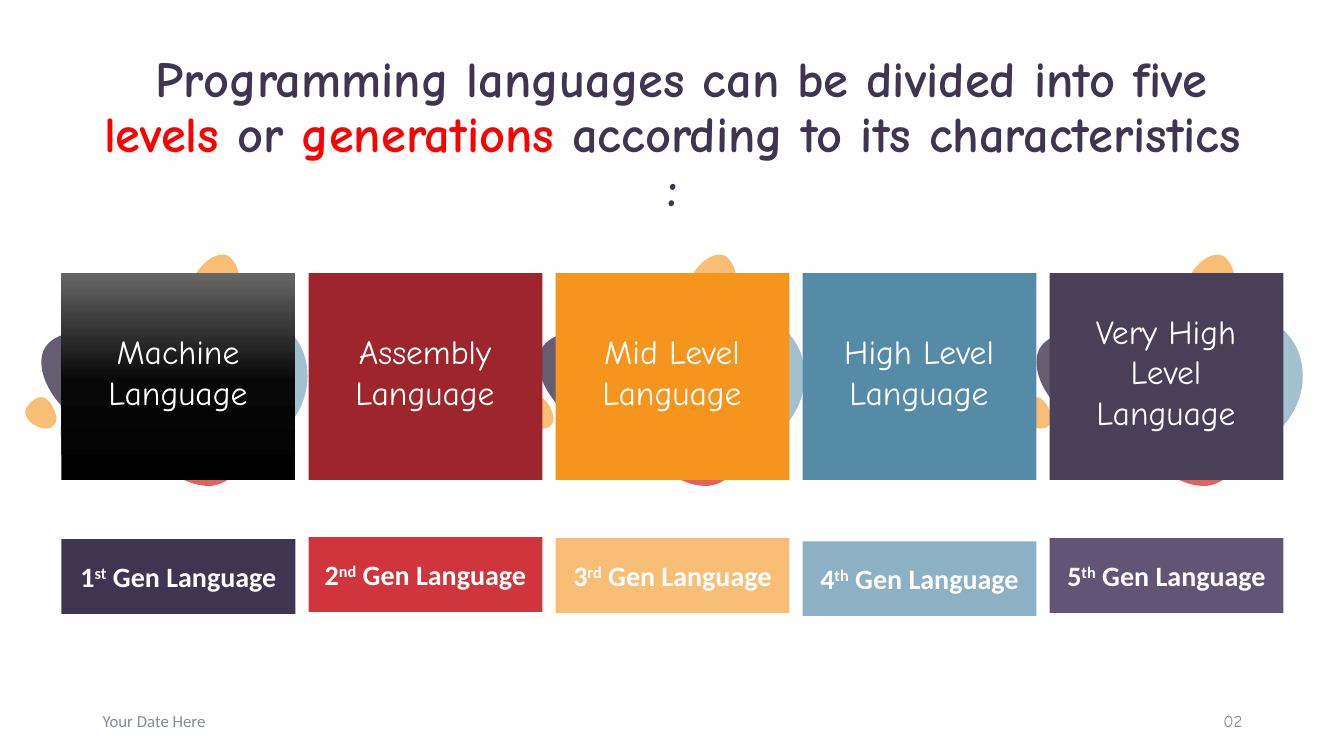
from copy import deepcopy
from dataclasses import dataclass

from lxml import etree
from pptx import Presentation
from pptx.dml.color import RGBColor
from pptx.enum.shapes import MSO_SHAPE
from pptx.enum.text import MSO_ANCHOR, MSO_AUTO_SIZE, PP_ALIGN
from pptx.oxml.ns import qn
from pptx.util import Pt

RECTANGLE = MSO_SHAPE.RECTANGLE
MIDDLE = MSO_ANCHOR.MIDDLE
NO_FIT, GROW = MSO_AUTO_SIZE.NONE, MSO_AUTO_SIZE.SHAPE_TO_FIT_TEXT
LEFT, CENTER, RIGHT = PP_ALIGN.LEFT, PP_ALIGN.CENTER, PP_ALIGN.RIGHT
EMU_PER_PX = 9144
TITLE_ONLY = 5


@dataclass(frozen=True)
class Theme:
    display: str = "Comic Neue"
    body: str = "Calibri"
    title_size: int = 36
    tile_size: int = 24
    label_size: int = 20
    footer_size: int = 12
    ink: str = "403551"
    accent: str = "FF0000"
    white: str = "FFFFFF"
    muted: str = "848B98"
    coral: str = "E4625C"
    sky: str = "8DB1C4"
    amber: str = "F9BE75"
    red: str = "D0343C"
    maroon: str = "9E252B"
    orange: str = "F5951D"
    blue: str = "568BA7"
    plum: str = "493F57"
    violet: str = "615474"
    night: tuple = ((0, "000000"), (0.48, "080808"), (1, "666666"))


THEME = Theme()

TITLE = [
    (" Programming languages can be divided into five ", THEME.ink),
    ("levels", THEME.accent),
    (" or ", THEME.ink),
    ("generations", THEME.accent),
    (" according to its characteristics :", THEME.ink),
]

GENERATIONS = [
    ("Machine Language", 2, THEME.night, "st", THEME.ink, 535),
    ("Assembly Language", 2, THEME.maroon, "nd", THEME.red, 533),
    ("Mid Level Language", 2, THEME.orange, "rd", THEME.amber, 534),
    ("High Level Language", 2, THEME.blue, "th", THEME.sky, 537),
    ("Very High Level Language", 3, THEME.plum, "th", THEME.violet, 534),
]

BLOBS = [
    (THEME.coral, 100, (93, 364), [
        (97, 408, 165, 486, 210, 482), (255, 477, 261, 392, 257, 348),
        (253, 304, 212, 272, 167, 276), (122, 281, 88, 320, 93, 364)]),
    (THEME.sky, 80, (63, 443), [
        (76, 472, 137, 481, 187, 473), (236, 465, 315, 428, 304, 361),
        (300, 335, 272, 289, 170, 319), (113, 336, 45, 404, 63, 443)]),
    (THEME.ink, 80, (41, 359), [
        (41, 409, 130, 463, 180, 463), (229, 463, 282, 409, 282, 359),
        (282, 309, 262, 275, 188, 313), (145, 336, 41, 309, 41, 359)]),
    (THEME.amber, 100, (194, 291), [
        (200, 296, 223, 294, 233, 284), (242, 275, 234, 261, 228, 255),
        (222, 250, 210, 253, 201, 263), (191, 273, 189, 285, 194, 291)]),
    (THEME.amber, 100, (55, 420), [
        (58, 415, 53, 400, 45, 395), (37, 391, 29, 400, 26, 405),
        (23, 410, 27, 418, 35, 422), (43, 427, 52, 426, 55, 420)]),
]
RED_DOT = (THEME.red, 100, (262, 287), [
    (260, 291, 264, 301, 270, 304), (275, 307, 280, 301, 282, 298),
    (284, 295, 281, 290, 275, 287), (270, 284, 264, 284, 262, 287)])


def px(value):
    return round(value * EMU_PER_PX)


def assign(target, **values):
    for name, value in values.items():
        setattr(target, name, value)


def place(shape, left, top, width, height):
    assign(shape, left=px(left), top=px(top), width=px(width), height=px(height))


def paint(shape, color, opacity=100):
    shape.shadow.inherit = False
    shape.line.fill.background()
    shape.fill.solid()
    shape.fill.fore_color.rgb = RGBColor.from_string(color)
    if opacity < 100:
        tint = shape._element.spPr.find(qn("a:solidFill"))[0]
        etree.SubElement(tint, qn("a:alpha")).set("val", str(opacity * 1000))


def paint_gradient(shape, stops):
    shape.shadow.inherit = False
    shape.line.fill.background()
    shape.fill.gradient()
    shape.fill.gradient_angle = 90
    stop_list = shape._element.spPr.find(qn("a:gradFill")).find(qn("a:gsLst"))
    stop_list.insert(1, deepcopy(stop_list[0]))
    for stop, (position, color) in zip(shape.fill.gradient_stops, stops):
        stop.position = position
        stop.color.rgb = RGBColor.from_string(color)


def add_span(para, text, color, size, name, bold=False, raised=False):
    span = para.add_run()
    span.text = text
    assign(span.font, size=Pt(size), name=name, bold=bold)
    span.font.color.rgb = RGBColor.from_string(color)
    if raised:
        span._r.get_or_add_rPr().set("baseline", "30000")


def open_para(shape, align, **frame_values):
    frame = shape.text_frame
    assign(frame, word_wrap=True, vertical_anchor=MIDDLE, **frame_values)
    para = frame.paragraphs[0]
    para.alignment = align
    return para


def add_box(shapes, left, top, width, height):
    return shapes.add_textbox(px(left), px(top), px(width), px(height))


def add_rectangle(shapes, left, top, width, height):
    return shapes.add_shape(RECTANGLE, px(left), px(top), px(width), px(height))


def add_blob(shapes, offset, color, opacity, start, curves):
    builder = shapes.build_freeform(px(start[0] + offset), px(start[1]))
    builder.add_line_segments([(px(curve[4] + offset), px(curve[5])) for curve in curves])
    blob = builder.convert_to_shape()
    segments = list(blob._element.iter(qn("a:lnTo")))
    for segment, curve in zip(segments, curves):
        segment.tag = qn("a:cubicBezTo")
        for index in (0, 1):
            control = etree.Element(qn("a:pt"))
            control.set("x", str(px(curve[2 * index] + offset) - blob.left))
            control.set("y", str(px(curve[2 * index + 1]) - blob.top))
            segment.insert(index, control)
    paint(blob, color, opacity)


def add_title(page):
    title = page.shapes.title
    place(title, 92, 73, 1150, 124)
    para = open_para(title, CENTER, auto_size=NO_FIT)
    para.line_spacing = 0.9
    for text, color in TITLE:
        add_span(para, text, color, THEME.title_size, THEME.display, bold=True)


def add_tile(shapes, left, caption, lines, fill):
    tile = add_rectangle(shapes, left, 271, 232, 205)
    if fill is THEME.night:
        paint_gradient(tile, fill)
    else:
        paint(tile, fill)
    box = add_box(shapes, left + 25, 368 - 20 * lines, 181, 40 * lines + 1)
    para = open_para(box, CENTER, auto_size=GROW, margin_left=0, margin_right=0,
                     margin_top=0, margin_bottom=0)
    para.space_after = Pt(12)
    add_span(para, caption, THEME.white, THEME.tile_size, THEME.display)


def add_label(shapes, left, top, number, suffix, fill):
    label = add_rectangle(shapes, left, top, 232, 74)
    paint(label, fill)
    para = open_para(label, CENTER)
    for text in (str(number), suffix, " Gen Language"):
        add_span(para, text, THEME.white, THEME.label_size, THEME.body,
                 bold=True, raised=text == suffix)


def add_footer(shapes, left, text, name, align):
    para = open_para(add_box(shapes, left, 695, 300, 40), align)
    add_span(para, text, THEME.muted, THEME.footer_size, name)


def main():
    deck = Presentation()
    assign(deck, slide_width=px(1333), slide_height=px(750))
    page = deck.slides.add_slide(deck.slide_layouts[TITLE_ONLY])
    for cluster in range(3):
        group = page.shapes.add_group_shape()
        for blob in BLOBS + ([RED_DOT] if cluster == 0 else []):
            add_blob(group.shapes, 987 * cluster // 2, *blob)
    add_title(page)
    for index, (caption, lines, fill, suffix, label_fill, top) in enumerate(GENERATIONS):
        left = 61 + 245 * index
        add_tile(page.shapes.add_group_shape().shapes, left, caption, lines, fill)
        add_label(page.shapes, left, top, index + 1, suffix, label_fill)
    add_footer(page.shapes, 92, "Your Date Here", THEME.body, LEFT)
    add_footer(page.shapes, 942, "02", THEME.display, RIGHT)
    deck.save("out.pptx")


if __name__ == "__main__":
    main()
